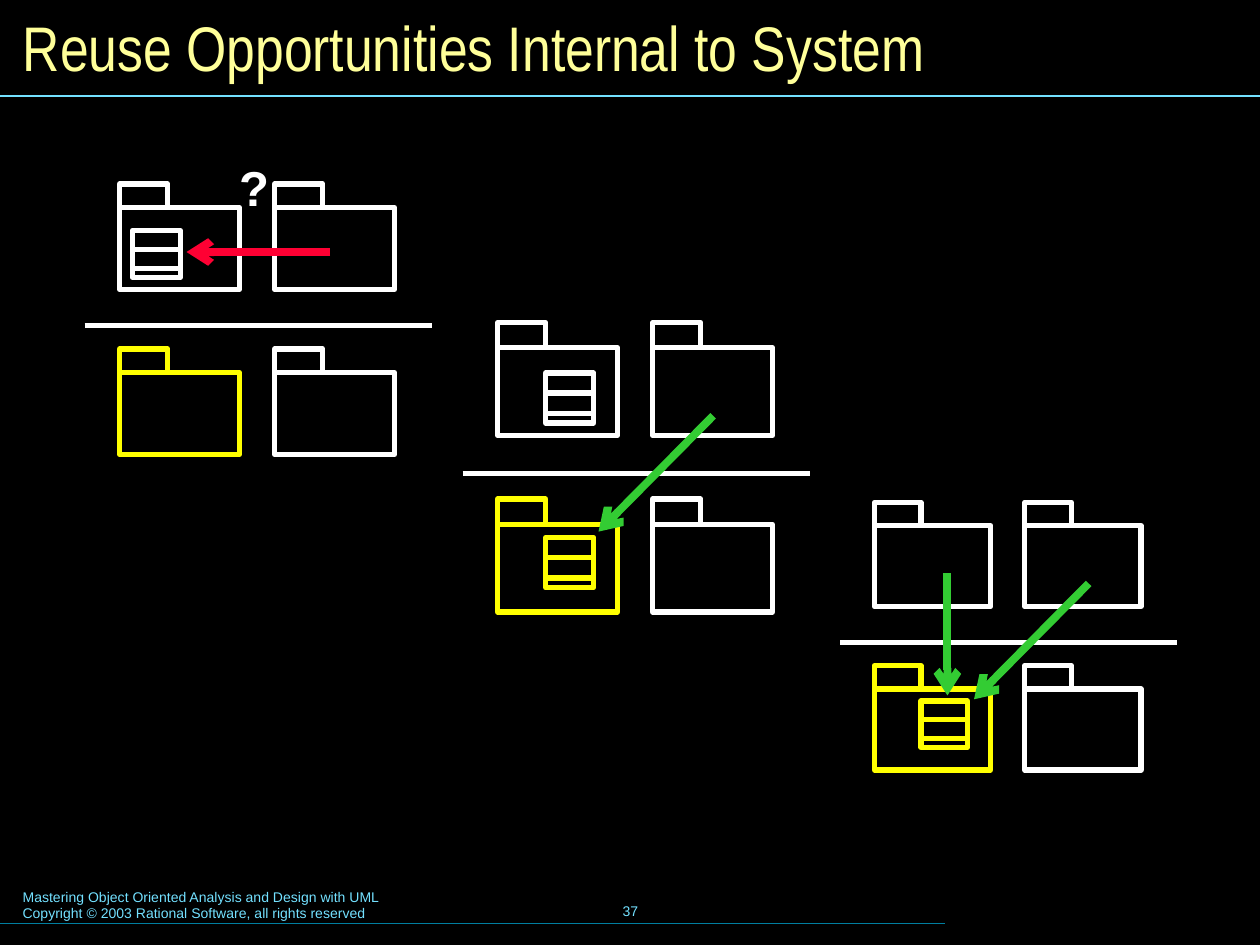
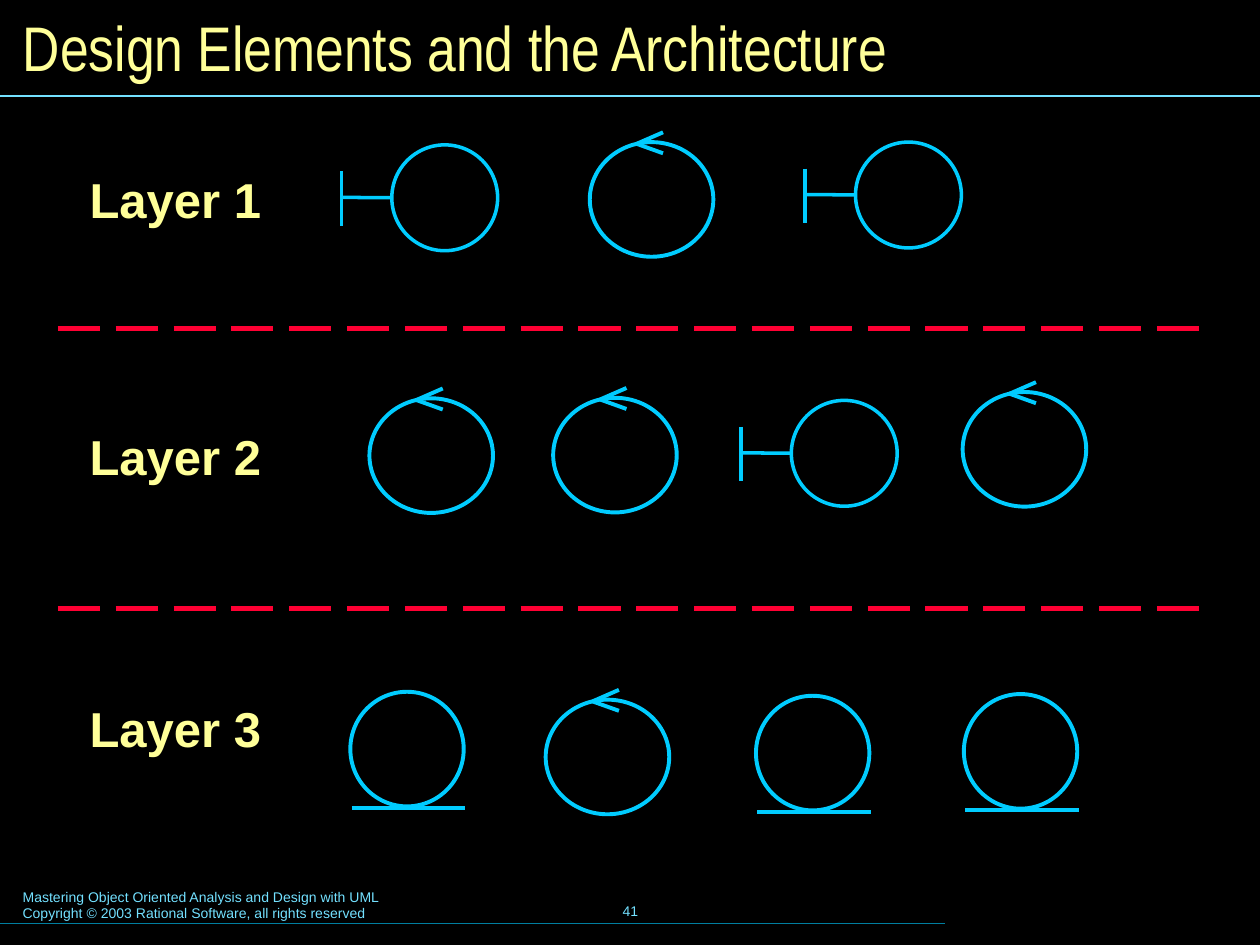
import pptx
import pptx.util
import pptx.dml.color
import pptx.enum.dml
import pptx.enum.shapes
import pptx.enum.text
import pptx.oxml.ns
import pptx.oxml.xmlchemy

Pt = pptx.util.Pt
RGB = pptx.dml.color.RGBColor
Shape = pptx.enum.shapes.MSO_SHAPE
Align = pptx.enum.text.PP_ALIGN
Anchor = pptx.enum.text.MSO_ANCHOR

BLACK = RGB(0x00, 0x00, 0x00)
WHITE = RGB(0xFF, 0xFF, 0xFF)
YELLOW = RGB(0xFF, 0xFF, 0x00)
CREAM = RGB(0xFF, 0xFF, 0x99)
RED = RGB(0xFF, 0x00, 0x33)
GREEN = RGB(0x33, 0xCC, 0x33)
CYAN = RGB(0x00, 0xCC, 0xFF)
PALE = RGB(0x73, 0xE1, 0xFF)
TEAL = RGB(0x00, 0x7E, 0x9F)

FOOTER = ["Mastering Object Oriented Analysis and Design with UML",
          "Copyright © 2003 Rational Software, all rights reserved"]

# Each panel: top left corner, scale, then classes as (row, dx, dy)
# and arrows as (x1, y1, x2, y2) on the slide.
PANELS = [
    dict(at=(68.4, 105.1), scale=(1, 1), base=WHITE, arrow=RED,
         classes=[(0, 7.2, 26.6)],
         arrows=[(188.6, 144, 106.6, 144)]),
    dict(at=(284.4, 184.3), scale=(1, 1.07), base=YELLOW, arrow=GREEN,
         classes=[(0, 27.4, 28.8), (1, 27.4, 22)],
         arrows=[(407.5, 237.6, 342, 303.8)]),
    dict(at=(499.7, 287), scale=(0.97, 0.99), base=YELLOW, arrow=GREEN,
         classes=[(1, 26.6, 20.2)],
         arrows=[(622.1, 333.4, 556.6, 399.6), (541.4, 327.6, 541.4, 397.4)]),
]
# Folder measures at scale 1
WIDE, TALL = 68.4, 46.8
TAB_W, TAB_H = 27.4, 13.5
COL, ROW = 88.6, 94.3
RULE_Y, RULE_W, HANG = 80.8, 198.4, 20
CLASS_H, BAND = 26.8, 10.8

# Each layer: label top, then icons as (kind, left, top)
LAYERS = [
    ("Layer 1", 92.9, [("boundary", 223.9, 82.8), ("control", 337, 81.2),
                       ("boundary", 488.9, 81.2)]),
    ("Layer 2", 239.8, [("control", 211.1, 227.6), ("control", 316.1, 227.3),
                        ("boundary", 452.2, 228.8), ("control", 550.1, 224)]),
    ("Layer 3", 395.3, [("entity", 200.2, 395.3), ("control", 311.8, 399.8),
                        ("entity", 432, 397.6), ("entity", 550.8, 396.6)]),
]
BORDERS = [187.9, 347.8]

# Each kind: circle width and height, line weight, strokes from the circle's corner
KINDS = {
    "boundary": (60.5, 60.5, 2, [(-28.8, 15.1, -28.8, 46.1), (-28, 30, 0, 30.2)]),
    "control": (70.6, 65.5, 2.25, [(41.9, -5.6, 26.8, 1), (41.9, 6.4, 26.8, 1)]),
    "entity": (64.8, 65.5, 2.25, [(0.7, 66.3, 65.7, 66.3)]),
}


def write(frame, text, size, color, font="Arial", bold=False, align=Align.LEFT,
          anchor=Anchor.TOP, wrap=True, inset=(7.2, 3.6)):
    """Fill a text frame with one line of text, or a list of lines."""
    frame.word_wrap = wrap
    frame.auto_size = pptx.enum.text.MSO_AUTO_SIZE.NONE
    frame.vertical_anchor = anchor
    frame.margin_left = frame.margin_right = Pt(inset[0])
    frame.margin_top = frame.margin_bottom = Pt(inset[1])
    lines = [text] if isinstance(text, str) else text
    for i, line in enumerate(lines):
        para = frame.paragraphs[0] if i == 0 else frame.add_paragraph()
        para.alignment = align
        run = para.add_run()
        run.text = line
        run.font.name, run.font.size, run.font.bold = font, Pt(size), bold
        run.font.color.rgb = color


def label(shapes, text, x, y, w, h, **style):
    box = shapes.add_textbox(Pt(x), Pt(y), Pt(w), Pt(h))
    write(box.text_frame, text, **style)


def stroke(shapes, x1, y1, x2, y2, color, weight, dash=None, arrow=False):
    line = shapes.add_connector(pptx.enum.shapes.MSO_CONNECTOR.STRAIGHT,
                                Pt(x1), Pt(y1), Pt(x2), Pt(y2))
    line.line.color.rgb = color
    line.line.width = Pt(weight)
    if dash:
        line.line.dash_style = dash
    props = line._element.spPr
    if arrow:
        tip = pptx.oxml.xmlchemy.OxmlElement("a:tailEnd")
        tip.set("type", "arrow")
        props.find(pptx.oxml.ns.qn("a:ln")).append(tip)
    props.append(pptx.oxml.xmlchemy.OxmlElement("a:effectLst"))


def outline(shapes, kind, x, y, w, h, color, weight):
    shape = shapes.add_shape(kind, Pt(x), Pt(y), Pt(w), Pt(h))
    shape.shadow.inherit = False
    shape.fill.background()
    shape.line.color.rgb = color
    shape.line.width = Pt(weight)


def start(deck, title, number):
    """Add a slide with the shared title, rules and footer."""
    slide = deck.slides.add_slide(deck.slide_layouts[5])
    shapes = slide.shapes
    head = shapes.title
    head.left, head.top, head.width, head.height = Pt(5.8), Pt(5.8), Pt(708.5), Pt(41.8)
    write(head.text_frame, title, 36, CREAM, font="Arial Narrow", anchor=Anchor.MIDDLE)
    label(shapes, FOOTER, 5.8, 504, 367, 26.6, size=8, color=PALE)
    label(shapes, number, 246.2, 502.6, 228.2, 36, size=8, color=PALE,
          align=Align.CENTER, anchor=Anchor.MIDDLE)
    stroke(shapes, 0, 527.8, 540, 527.8, TEAL, 0.75)
    stroke(shapes, 0, 54.9, 720, 54.9, PALE, 0.75)
    return shapes


def panel(shapes, at, scale, base, arrow, classes, arrows):
    """Draw two rows of folders split by a rule, with classes and arrows."""
    (left, top), (sx, sy) = at, scale

    def rect(x, y, w, h, color):
        outline(shapes, Shape.RECTANGLE, x, y, w * sx, h * sy, color, 3)

    rule = top + RULE_Y * sy
    begin = left - HANG * sx
    stroke(shapes, begin, rule, begin + RULE_W * sx, rule, WHITE, 3)
    for row in range(2):
        for col in range(2):
            color = YELLOW if (row, col) == (1, 0) else WHITE
            x, y = left + col * COL * sx, top + row * ROW * sy
            rect(x, y + TAB_H * sy, WIDE, TALL, color)
            rect(x, y, TAB_W, TAB_H, color)
    for row, dx, dy in classes:
        color = base if row else WHITE
        x, y = left + dx, top + row * ROW * sy + dy
        rect(x, y, TAB_W, CLASS_H, color)
        rect(x, y + BAND * sy, TAB_W, BAND, color)
    for ends in arrows:
        stroke(shapes, *ends, arrow, 4.5, arrow=True)


def icon(shapes, kind, x, y):
    w, h, weight, strokes = KINDS[kind]
    outline(shapes, Shape.OVAL, x, y, w, h, CYAN, weight)
    for x1, y1, x2, y2 in strokes:
        stroke(shapes, x + x1, y + y1, x + x2, y + y2, CYAN, weight)


def main():
    deck = pptx.Presentation()
    deck.slide_width, deck.slide_height = Pt(720), Pt(540)
    back = deck.slide_master.background.fill
    back.solid()
    back.fore_color.rgb = BLACK

    shapes = start(deck, "Reuse Opportunities Internal to System", "37")
    for part in PANELS:
        panel(shapes.add_group_shape().shapes, **part)
    label(shapes, "?", 129.6, 86.4, 88.6, 41, size=28, color=WHITE, bold=True)

    shapes = start(deck, "Design Elements and the Architecture", "41")
    for y in BORDERS:
        stroke(shapes, 33.1, y, 691.2, y, RED, 3,
               dash=pptx.enum.dml.MSO_LINE.LONG_DASH)
    for name, top, icons in LAYERS:
        label(shapes, name, 43.2, top, 113.8, 41.8, size=28, color=CREAM,
              bold=True, wrap=False, inset=(8, 4))
        for each in icons:
            icon(shapes.add_group_shape().shapes, *each)

    deck.save("out.pptx")


if __name__ == "__main__":
    main()
